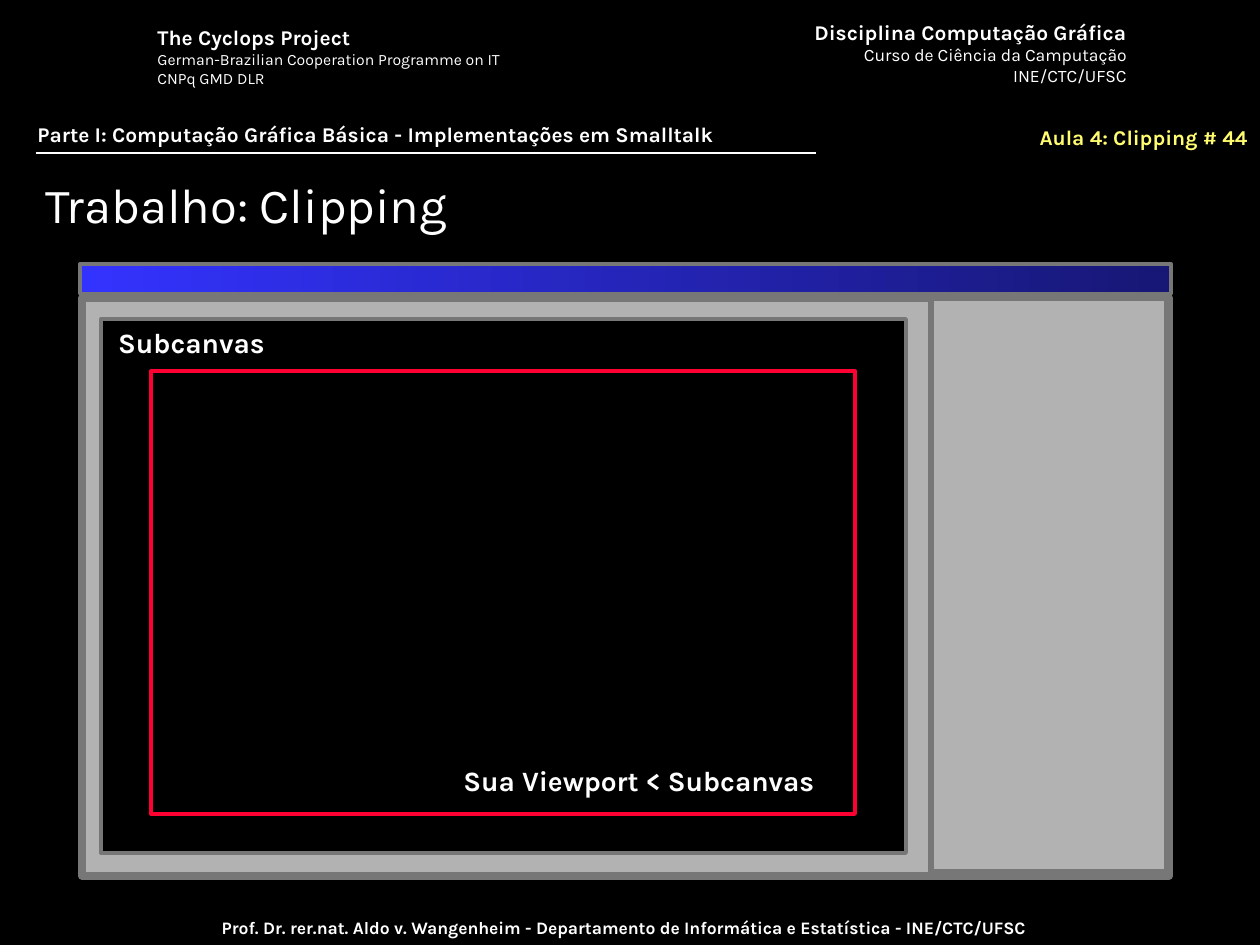
from dataclasses import dataclass

from lxml.etree import SubElement
from pptx import Presentation
from pptx.dml.color import RGBColor
from pptx.enum.shapes import MSO_CONNECTOR, MSO_SHAPE
from pptx.enum.text import MSO_ANCHOR, PP_ALIGN
from pptx.oxml.ns import qn
from pptx.util import Emu, Pt

SCALE = 914400 / 126
FONT = "Karla"
WHITE, BLACK, YELLOW, RED = "FFFFFF", "000000", "FFFC6F", "FF0033"
GRAY, SILVER, BLUE, NAVY = "777777", "B2B2B2", "3333FF", "171775"
LEFT, MID, RIGHT = PP_ALIGN.LEFT, PP_ALIGN.CENTER, PP_ALIGN.RIGHT


@dataclass
class Label:
    box: tuple[int, int, int, int]
    lines: list[str]
    sizes: list[int]
    align: PP_ALIGN = LEFT
    color: str = WHITE
    wrap: bool = False


@dataclass
class Panel:
    box: tuple[int, int, int, int]
    fills: list[str]
    line: str
    width: float


HEADER = [
    Label((794, 13, 345, 81),
          ["Disciplina Computação Gráfica", "Curso de Ciência da Camputação", "INE/CTC/UFSC"],
          [12, 10, 10], RIGHT),
    Label((145, 18, 384, 76),
          ["The Cyclops Project", "German-Brazilian Cooperation Programme on IT", "CNPq GMD DLR"],
          [12, 9, 9]),
    Label((67, 911, 1113, 34),
          ["Prof. Dr. rer.nat. Aldo v. Wangenheim - Departamento de Informática e Estatística"
           " - INE/CTC/UFSC"], [10], MID, wrap=True),
    Label((956, 118, 304, 42), ["Aula 4: Clipping # 44"], [12], RIGHT, YELLOW, True),
    Label((25, 115, 1197, 38),
          ["Parte I: Computação Gráfica Básica - Implementações em Smalltalk"], [12], wrap=True),
]

WINDOW = [
    Panel((82, 298, 1087, 578), [SILVER], GRAY, 4.5),
    Panel((931, 298, 236, 574), [SILVER], GRAY, 3),
    Panel((80, 264, 1091, 30), [BLUE, NAVY], GRAY, 2.25),
    Panel((101, 319, 805, 534), [BLACK], GRAY, 2.25),
    Panel((151, 371, 704, 443), [], RED, 2.25),
]

NOTES = [
    Label((105, 319, 173, 47), ["Subcanvas"], [16], MID),
    Label((445, 757, 388, 47), ["Sua Viewport < Subcanvas"], [16], MID),
]


def px(n: int) -> Emu:
    return Emu(round(n * SCALE))


def rgb(code: str) -> RGBColor:
    return RGBColor.from_string(code)


def style(para, size: int, color: str, bold: bool, align: PP_ALIGN) -> None:
    para.alignment = align
    for run in para.runs:
        run.font.name = FONT
        run.font.size = Pt(size)
        run.font.bold = bold
        run.font.color.rgb = rgb(color)


def add_label(slide, label: Label) -> None:
    """Add a text box whose first line is bold."""
    frame = slide.shapes.add_textbox(*map(px, label.box)).text_frame
    frame.word_wrap = label.wrap
    frame.text = "\n".join(label.lines)
    for i, (para, size) in enumerate(zip(frame.paragraphs, label.sizes)):
        style(para, size, label.color, i == 0, label.align)


def add_panel(slide, panel: Panel) -> None:
    """Add a rectangle: no fill, one colour, or a left-to-right gradient."""
    shape = slide.shapes.add_shape(MSO_SHAPE.RECTANGLE, *map(px, panel.box))
    shape.shadow.inherit = False
    fill = shape.fill
    if not panel.fills:
        fill.background()
    elif len(panel.fills) == 1:
        fill.solid()
        fill.fore_color.rgb = rgb(panel.fills[0])
    else:
        fill.gradient()
        fill.gradient_angle = 0
        for stop, code in zip(fill.gradient_stops, panel.fills):
            stop.color.rgb = rgb(code)
    shape.line.color.rgb = rgb(panel.line)
    shape.line.width = Pt(panel.width)


def add_rule(slide, left: int, right: int, top: int) -> None:
    rule = slide.shapes.add_connector(
        MSO_CONNECTOR.STRAIGHT, px(left), px(top), px(right), px(top))
    rule.line.color.rgb = rgb(WHITE)
    rule.line.width = Pt(1)
    SubElement(rule._element.spPr, qn("a:effectLst"))


def set_title(slide, text: str) -> None:
    title = slide.shapes.title
    title.left, title.top, title.width, title.height = map(px, (33, 163, 1184, 82))
    frame = title.text_frame
    frame.text = text
    frame.vertical_anchor = MSO_ANCHOR.MIDDLE
    style(frame.paragraphs[0], 28, WHITE, False, LEFT)


def main() -> None:
    deck = Presentation()
    deck.slide_width, deck.slide_height = px(1260), px(945)
    slide = deck.slides.add_slide(deck.slide_layouts[5])
    slide.background.fill.solid()
    slide.background.fill.fore_color.rgb = rgb(BLACK)
    set_title(slide, "Trabalho: Clipping")
    for label in HEADER:
        add_label(slide, label)
    add_rule(slide, 36, 816, 153)
    for panel in WINDOW:
        add_panel(slide, panel)
    for label in NOTES:
        add_label(slide, label)
    deck.save("out.pptx")


if __name__ == "__main__":
    main()
